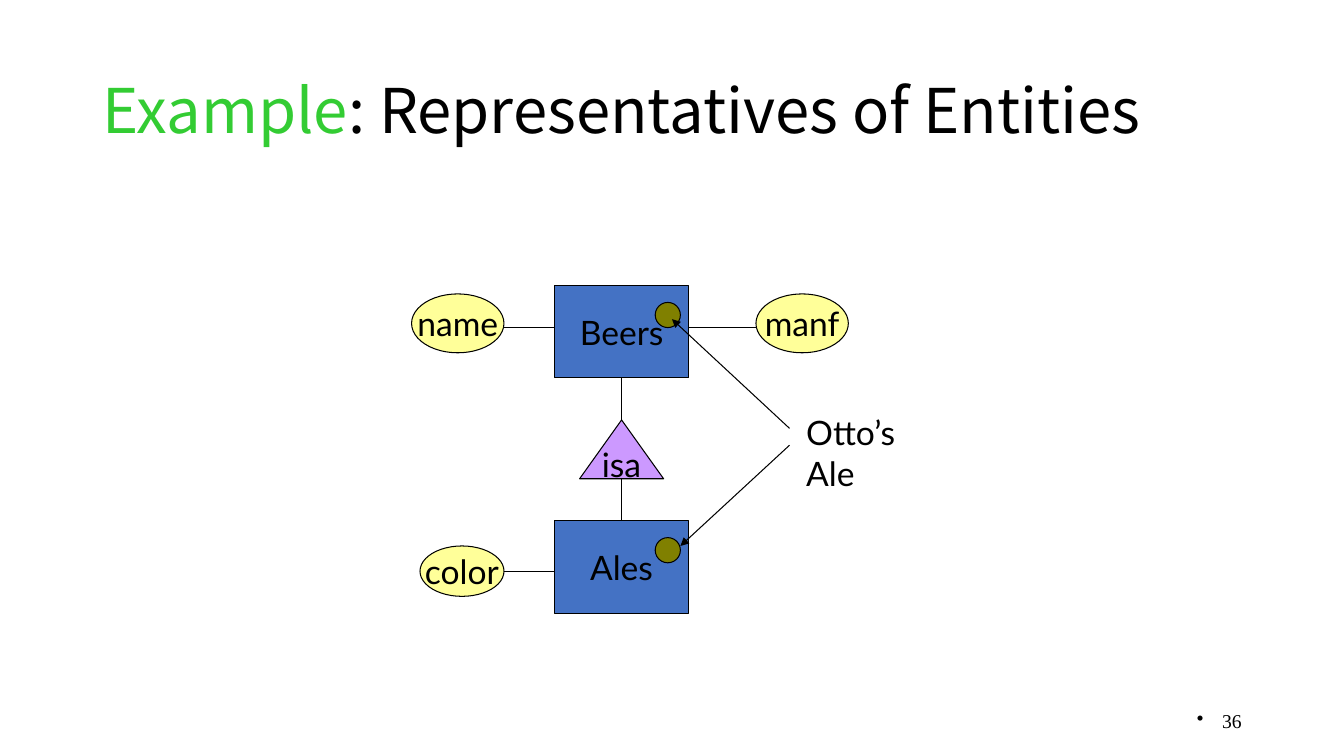
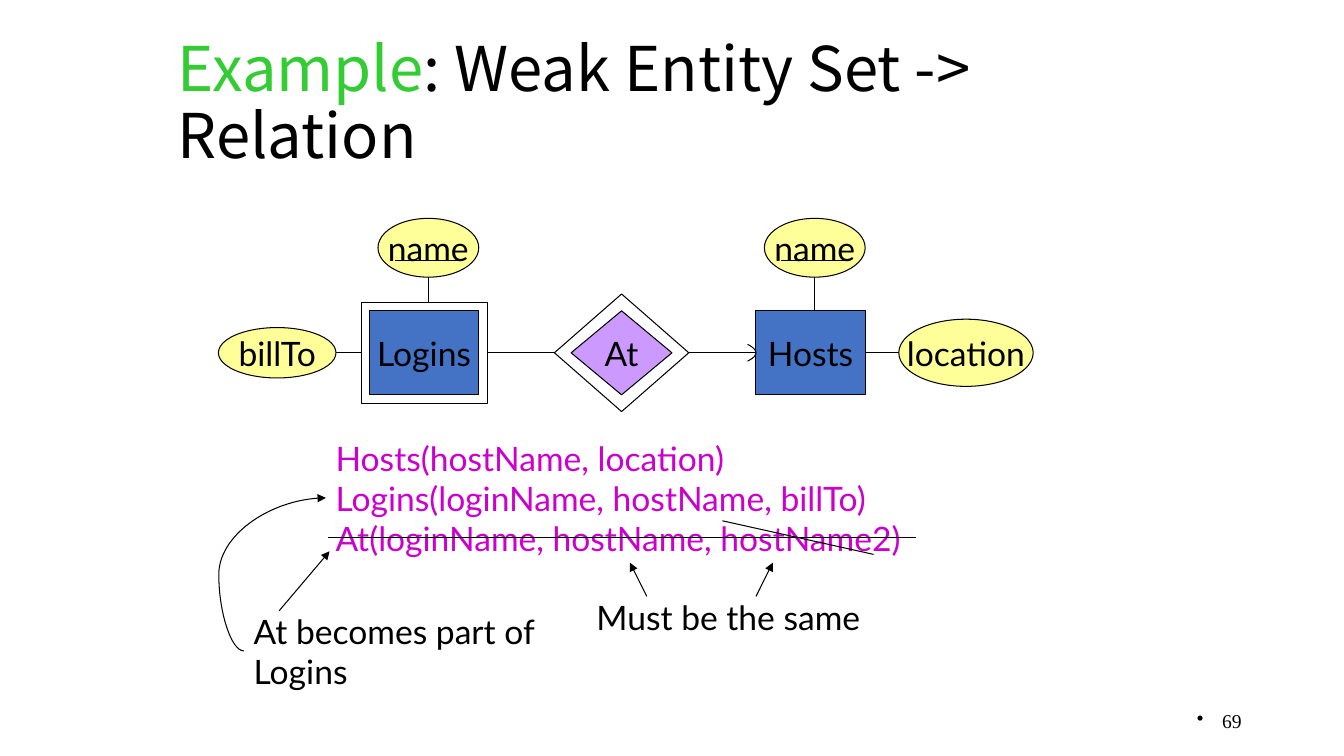
from dataclasses import dataclass
from enum import Enum

import lxml.etree
import pptx
import pptx.dml.color
import pptx.enum.shapes
import pptx.enum.text
import pptx.oxml
import pptx.oxml.ns
import pptx.presentation
import pptx.shapes.connector
import pptx.slide
import pptx.text.text
import pptx.util

Pt = pptx.util.Pt
RGBColor = pptx.dml.color.RGBColor
Preset = pptx.enum.shapes.MSO_SHAPE
Align = pptx.enum.text.PP_ALIGN
Anchor = pptx.enum.text.MSO_ANCHOR
AutoSize = pptx.enum.text.MSO_AUTO_SIZE
Route = pptx.enum.shapes.MSO_CONNECTOR
qn = pptx.oxml.ns.qn

BLACK = RGBColor(0x00, 0x00, 0x00)
GREEN = RGBColor(0x33, 0xCC, 0x33)
BLUE = RGBColor(0x44, 0x72, 0xC4)
PURPLE = RGBColor(0xCC, 0x99, 0xFF)
YELLOW = RGBColor(0xFF, 0xFF, 0x99)
OLIVE = RGBColor(0x80, 0x80, 0x00)
MAGENTA = RGBColor(0xCC, 0x00, 0xCC)

BODY_FONT = "Lato"
TITLE_FONT = "Noto Sans CJK SC"
NUMBER_FONT = "Times New Roman"
LINE_WIDTH = Pt(0.75)

Box = tuple[float, float, float, float]


class Kind(Enum):
    ENTITY = (Preset.RECTANGLE, BLUE)
    ATTRIBUTE = (Preset.OVAL, YELLOW)
    RELATIONSHIP = (Preset.DIAMOND, PURPLE)
    SUBCLASS = (Preset.ISOSCELES_TRIANGLE, PURPLE)
    MEMBER = (Preset.OVAL, OLIVE)
    WEAK_ENTITY = (Preset.RECTANGLE, None)
    WEAK_RELATIONSHIP = (Preset.DIAMOND, None)


@dataclass(frozen=True)
class Node:
    kind: Kind
    box: Box
    text: str = ""


@dataclass(frozen=True)
class Line:
    start: tuple[float, float]
    end: tuple[float, float]
    arrow: bool = False
    bend: float | None = None


@dataclass(frozen=True)
class Label:
    lines: tuple[str, ...]
    box: Box
    color: RGBColor = BLACK


def points(*values: float) -> list[pptx.util.Length]:
    return [Pt(value) for value in values]


def add_run(paragraph: pptx.text.text._Paragraph, text: str, *, size: float = 24,
            font: str = BODY_FONT, color: RGBColor = BLACK) -> None:
    run = paragraph.add_run()
    run.text = text
    run.font.size = Pt(size)
    run.font.name = font
    run.font.color.rgb = color


def add_text_frame(slide: pptx.slide.Slide, box: Box, *, wrap: bool = True,
                   anchor: Anchor = Anchor.MIDDLE) -> pptx.text.text.TextFrame:
    frame = slide.shapes.add_textbox(*points(*box)).text_frame
    frame.word_wrap = wrap
    frame.vertical_anchor = anchor
    return frame


def add_title(slide: pptx.slide.Slide, text: str, box: Box) -> None:
    paragraph = add_text_frame(slide, box).paragraphs[0]
    paragraph.line_spacing = 0.9
    add_run(paragraph, "Example", size=44, font=TITLE_FONT, color=GREEN)
    add_run(paragraph, f": {text}", size=44, font=TITLE_FONT)


def add_page_number(slide: pptx.slide.Slide, number: int) -> None:
    paragraph = add_text_frame(slide, (678, 500.4, 216, 28.8)).paragraphs[0]
    paragraph.alignment = Align.RIGHT
    properties = paragraph._p.get_or_add_pPr()
    properties.set("marL", str(Pt(18)))
    properties.set("indent", str(-Pt(18)))
    lxml.etree.SubElement(properties, qn("a:buChar")).set("char", "•")
    add_run(paragraph, str(number), size=14, font=NUMBER_FONT)


def add_label(slide: pptx.slide.Slide, label: Label) -> None:
    frame = add_text_frame(slide, label.box, wrap=False, anchor=Anchor.TOP)
    frame.auto_size = AutoSize.SHAPE_TO_FIT_TEXT
    for index, text in enumerate(label.lines):
        paragraph = frame.add_paragraph() if index else frame.paragraphs[0]
        add_run(paragraph, text, color=label.color)


def add_node(slide: pptx.slide.Slide, node: Node) -> None:
    preset, fill = node.kind.value
    shape = slide.shapes.add_shape(preset, *points(*node.box))
    shape.shadow.inherit = False
    shape.line.color.rgb = BLACK
    shape.line.width = LINE_WIDTH
    if fill is None:
        shape.fill.background()
    else:
        shape.fill.solid()
        shape.fill.fore_color.rgb = fill
    if node.text:
        frame = shape.text_frame
        frame.word_wrap = False
        frame.vertical_anchor = Anchor.MIDDLE
        frame.paragraphs[0].alignment = Align.CENTER
        add_run(frame.paragraphs[0], node.text)


def add_line(slide: pptx.slide.Slide, line: Line) -> None:
    route = Route.STRAIGHT if line.bend is None else Route.CURVE
    connector = slide.shapes.add_connector(route, *points(*line.start, *line.end))
    connector.line.color.rgb = BLACK
    connector.line.width = LINE_WIDTH
    properties = connector._element.spPr
    if line.arrow:
        tail = lxml.etree.SubElement(properties.find(qn("a:ln")), qn("a:tailEnd"))
        tail.set("type", "triangle")
    if line.bend is not None:
        adjustments = properties.find(qn("a:prstGeom")).find(qn("a:avLst"))
        guide = lxml.etree.SubElement(adjustments, qn("a:gd"))
        guide.set("name", "adj1")
        guide.set("fmla", f"val {round(line.bend * 100000)}")
    lxml.etree.SubElement(properties, qn("a:effectLst"))


def add_round_arrowhead(slide: pptx.slide.Slide, tip_x: float, tip_y: float,
                        size: float = 6, steps: int = 8) -> None:
    curve = [
        (Pt(tip_x - size * (step / steps) ** 2), Pt(tip_y + size * step / steps))
        for step in range(-steps, steps + 1)
    ]
    builder = slide.shapes.build_freeform(*curve[0])
    builder.add_line_segments(curve[1:], close=False)
    shape = builder.convert_to_shape()
    shape.shadow.inherit = False
    shape.fill.background()
    shape.line.color.rgb = BLACK
    shape.line.width = LINE_WIDTH


def add_diagram_slide(presentation: pptx.presentation.Presentation, number: int,
                      title: str, title_box: Box, nodes: list[Node],
                      lines: list[Line], labels: list[Label]) -> pptx.slide.Slide:
    slide = presentation.slides.add_slide(presentation.slide_layouts[6])
    add_page_number(slide, number)
    add_title(slide, title, title_box)
    for node in nodes:
        add_node(slide, node)
    for label in labels:
        add_label(slide, label)
    for line in lines:
        add_line(slide, line)
    return slide


def add_entities_slide(presentation: pptx.presentation.Presentation) -> None:
    nodes = [
        Node(Kind.ENTITY, (396, 204, 96, 66), "Beers"),
        Node(Kind.ENTITY, (396, 372, 96, 66), "Ales"),
        Node(Kind.SUBCLASS, (414, 300, 60, 42), "isa"),
        Node(Kind.ATTRIBUTE, (294, 210, 66, 42), "name"),
        Node(Kind.ATTRIBUTE, (540, 210, 66, 42), "manf"),
        Node(Kind.ATTRIBUTE, (300, 390, 60, 36), "color"),
        Node(Kind.MEMBER, (468, 216, 18, 18)),
        Node(Kind.MEMBER, (468, 384, 18, 18)),
    ]
    lines = [
        Line((360, 234), (396, 234)),
        Line((540, 234), (492, 234)),
        Line((444, 300), (444, 270)),
        Line((444, 342), (444, 372)),
        Line((360, 408), (396, 408)),
        Line((564, 306), (480, 228), arrow=True),
        Line((564, 318), (486, 390), arrow=True),
    ]
    labels = [Label(("Otto’s Ale",), (568.8, 291, 116.6, 36))]
    add_diagram_slide(presentation, 36, "Representatives of Entities",
                      (66, 28.8, 828, 104.4), nodes, lines, labels)


def add_weak_entity_slide(presentation: pptx.presentation.Presentation) -> None:
    nodes = [
        Node(Kind.WEAK_ENTITY, (258, 216, 90, 72)),
        Node(Kind.ENTITY, (264, 222, 78, 60), "Logins"),
        Node(Kind.ENTITY, (540, 222, 78, 60), "Hosts"),
        Node(Kind.WEAK_RELATIONSHIP, (396, 210, 96, 84)),
        Node(Kind.RELATIONSHIP, (408, 222, 72, 60), "At"),
        Node(Kind.ATTRIBUTE, (270, 156, 72, 42), "name"),
        Node(Kind.ATTRIBUTE, (546, 156, 72, 42), "name"),
        Node(Kind.ATTRIBUTE, (156, 234, 84, 36), "billTo"),
        Node(Kind.ATTRIBUTE, (642, 228, 96, 48), "location"),
    ]
    key_underlines = [Line((left, 186), (left + 48, 186)) for left in (282, 558)]
    lines = key_underlines + [
        Line((306, 198), (306, 216)),
        Line((582, 198), (582, 222)),
        Line((240, 252), (258, 252)),
        Line((396, 252), (348, 252)),
        Line((492, 252), (540, 252)),
        Line((642, 252), (618, 252)),
        Line((462, 426), (450, 402), arrow=True),
        Line((540, 426), (552, 402), arrow=True),
        Line((199.4, 436.3), (235.4, 393.8), arrow=True),
        Line((174.2, 465), (232.8, 355.7), arrow=True, bend=-0.306),
        Line((516, 372), (624, 396)),
        Line((234, 384), (654, 384)),
    ]
    relations = (
        "Hosts(hostName, location)",
        "Logins(loginName, hostName, billTo)",
        "At(loginName, hostName, hostName2)",
    )
    labels = [
        Label(relations, (232.6, 308.9, 427, 94.3), MAGENTA),
        Label(("Must be the same",), (419, 422.6, 203.8, 36)),
        Label(("At becomes part of", "Logins"), (174.2, 432.7, 218.2, 65.5)),
    ]
    slide = add_diagram_slide(presentation, 69, "Weak Entity Set -> Relation",
                              (120, 30, 720, 90), nodes, lines, labels)
    add_round_arrowhead(slide, 540, 252)


def main() -> None:
    presentation = pptx.Presentation()
    presentation.slide_width = Pt(960)
    presentation.slide_height = Pt(540)
    add_entities_slide(presentation)
    add_weak_entity_slide(presentation)
    presentation.save("out.pptx")


if __name__ == "__main__":
    main()
